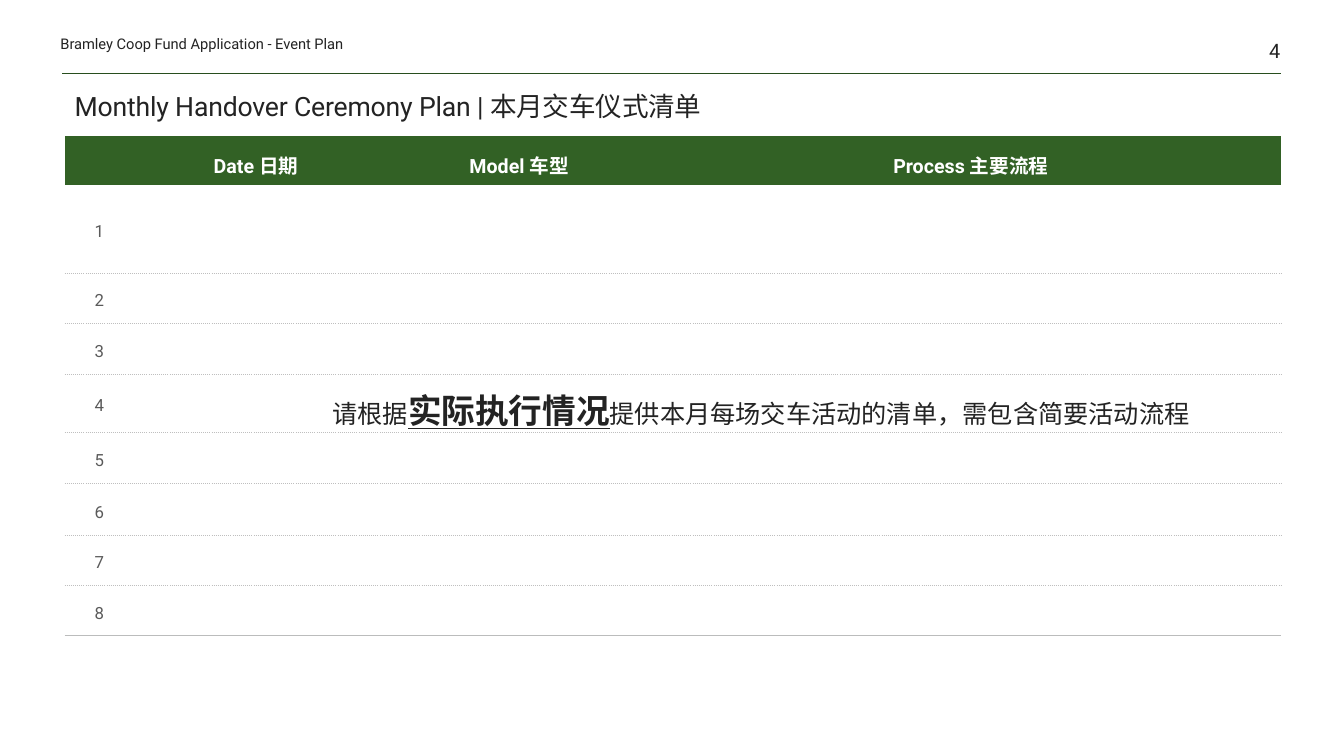
from lxml.etree import SubElement
from pptx import Presentation
from pptx.dml.color import RGBColor
from pptx.enum.shapes import MSO_CONNECTOR
from pptx.enum.text import MSO_ANCHOR, MSO_AUTO_SIZE, PP_ALIGN
from pptx.oxml.ns import qn
from pptx.util import Inches, Pt

SLIDE_WIDTH, SLIDE_HEIGHT = 13.33, 7.5
COLORS = {
    "ink": "232323",
    "number": "5A5A5A",
    "header": "326125",
    "header_text": "FFFFFF",
    "top_rule": "284E1E",
    "row_rule": "BFBFBF",
    "last_rule": "BBBCBC",
}
FONT = "Roboto"
HEADINGS = ["", "Date 日期", "Model 车型", "Process 主要流程"]
COLUMN_WIDTHS = [5.18, 18.15, 21.01, 46.21]
ROW_HEIGHTS = [6.4, 11.6, 6.67, 6.67, 7.73, 6.8, 6.8, 6.67, 6.4]
LEFT, CONTENT_WIDTH = 4.8, 90.55


def across(percent):
    return Inches(SLIDE_WIDTH * percent / 100)


def down(percent):
    return Inches(SLIDE_HEIGHT * percent / 100)


def box(left, top, width, height):
    return across(left), down(top), across(width), down(height)


def apply(target, values):
    for name, value in values.items():
        setattr(target, name, value)


def margins(horizontal, vertical):
    return {
        "margin_left": Inches(horizontal),
        "margin_right": Inches(horizontal),
        "margin_top": Inches(vertical),
        "margin_bottom": Inches(vertical),
    }


def add_run(paragraph, text, size, color="ink", **font_values):
    run = paragraph.add_run()
    run.text = text
    apply(run.font, {"name": FONT, "size": Pt(size), **font_values})
    run.font.color.rgb = RGBColor.from_string(COLORS[color])
    return run


def add_text(slide, area, runs, frame_values, alignment=PP_ALIGN.LEFT):
    frame = slide.shapes.add_textbox(*box(*area)).text_frame
    apply(frame, frame_values)
    paragraph = frame.paragraphs[0]
    paragraph.alignment = alignment
    for text, size, font_values in runs:
        add_run(paragraph, text, size, **font_values)


def set_title(slide, text):
    title = slide.shapes.title
    left, top, width, height = box(LEFT, 9.87, CONTENT_WIDTH, 6.93)
    apply(title, {"left": left, "top": top, "width": width, "height": height})
    apply(title.text_frame, {
        "vertical_anchor": MSO_ANCHOR.BOTTOM,
        "auto_size": MSO_AUTO_SIZE.NONE,
        "word_wrap": True,
    })
    paragraph = title.text_frame.paragraphs[0]
    apply(paragraph, {"alignment": PP_ALIGN.LEFT, "line_spacing": 0.85})
    run = add_run(paragraph, text, 19)
    run.font._element.set("spc", "-10")


def add_rule(slide, start, end, top):
    rule = slide.shapes.add_connector(
        MSO_CONNECTOR.STRAIGHT, across(start), down(top), across(end), down(top))
    rule.line.width = Pt(0.5)
    rule.line.color.rgb = RGBColor.from_string(COLORS["top_rule"])
    SubElement(rule._element.spPr, qn("a:effectLst"))


def set_border(cell, side, border):
    properties = cell._tc.get_or_add_tcPr()
    line = SubElement(properties, qn(f"a:ln{side}"))
    if border is None:
        SubElement(line, qn("a:noFill"))
        return
    color, width, dash = border
    line.set("w", str(Pt(width)))
    fill = SubElement(line, qn("a:solidFill"))
    SubElement(fill, qn("a:srgbClr")).set("val", COLORS[color])
    SubElement(line, qn("a:prstDash")).set("val", dash)


def format_cell(cell, top, bottom, fill):
    for side, border in {"L": None, "R": None, "T": top, "B": bottom}.items():
        set_border(cell, side, border)
    if fill:
        cell.fill.solid()
        cell.fill.fore_color.rgb = RGBColor.from_string(COLORS[fill])
    else:
        cell.fill.background()


def write_cell(cell, text, size, color, bold, vertical_margin):
    apply(cell, {"vertical_anchor": MSO_ANCHOR.MIDDLE, **margins(0.12, vertical_margin)})
    paragraph = cell.text_frame.paragraphs[0]
    apply(paragraph, {"alignment": PP_ALIGN.CENTER, "line_spacing": 1.3})
    add_run(paragraph, text, size, color, bold=bold)


def add_plan_table(slide):
    row_count = len(ROW_HEIGHTS)
    area = box(LEFT, 18, CONTENT_WIDTH, sum(ROW_HEIGHTS))
    table = slide.shapes.add_table(row_count, len(COLUMN_WIDTHS), *area).table
    apply(table, {"first_row": False, "horz_banding": False})
    for column, width in zip(table.columns, COLUMN_WIDTHS):
        column.width = across(width)
    for row, height in zip(table.rows, ROW_HEIGHTS):
        row.height = down(height)

    dotted = ("row_rule", 0.25, "sysDot")
    rules = [None] + [dotted] * (row_count - 2) + [("last_rule", 0.5, "solid")]
    for index, row in enumerate(table.rows):
        top = rules[index - 1] if index else None
        for cell in row.cells:
            format_cell(cell, top, rules[index], None if index else "header")
        if index:
            write_cell(row.cells[0], str(index), 12, "number", False, 0.12)
    for column, heading in enumerate(HEADINGS):
        if heading:
            write_cell(table.cell(0, column), heading, 14, "header_text", True, 0.06)


def main():
    presentation = Presentation()
    apply(presentation, {
        "slide_width": Inches(SLIDE_WIDTH),
        "slide_height": Inches(SLIDE_HEIGHT),
    })
    slide = presentation.slides.add_slide(presentation.slide_layouts[5])
    edge_text = {"vertical_anchor": MSO_ANCHOR.BOTTOM, "word_wrap": True, **margins(0, 0)}

    add_rule(slide, 4.65, 95.35, 9.73)
    set_title(slide, "Monthly Handover Ceremony Plan | 本月交车仪式清单")
    add_plan_table(slide)
    add_text(slide, (89.05, 0, 6.2, 8.27), [("4", 14.2, {})], edge_text, PP_ALIGN.RIGHT)
    add_text(slide, (24, 50.93, 66, 6.67), [
        ("请根据", 18, {}),
        ("实际执行情况", 24, {"bold": True, "underline": True}),
        ("提供本月每场交车活动的清单，需包含简要活动流程", 18, {}),
    ], {"word_wrap": False, "auto_size": MSO_AUTO_SIZE.SHAPE_TO_FIT_TEXT})
    add_text(slide, (4.5, 3.87, 31.3, 3.07),
             [("Bramley Coop Fund Application - Event Plan", 10.5, {})], edge_text)
    presentation.save("out.pptx")


if __name__ == "__main__":
    main()
